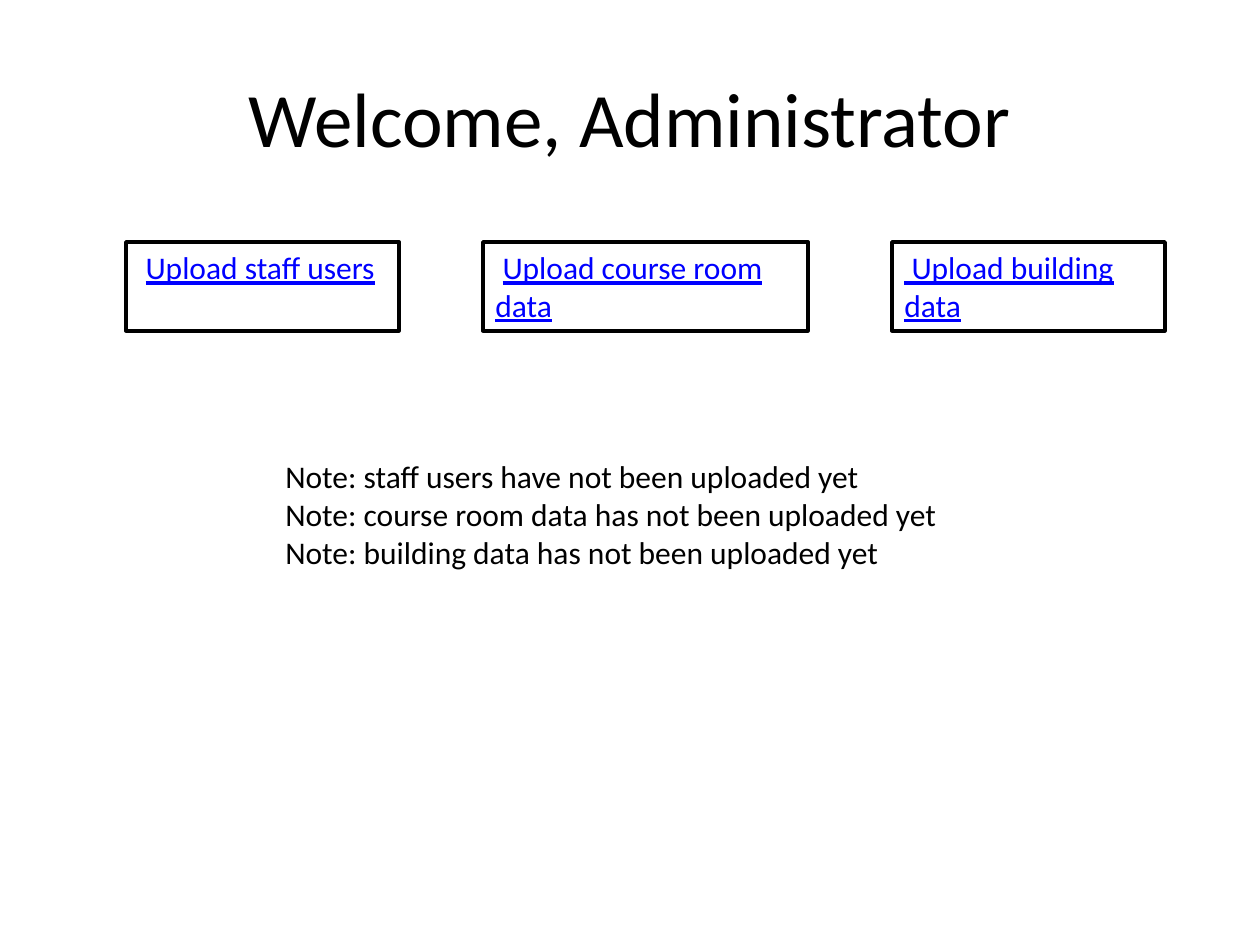
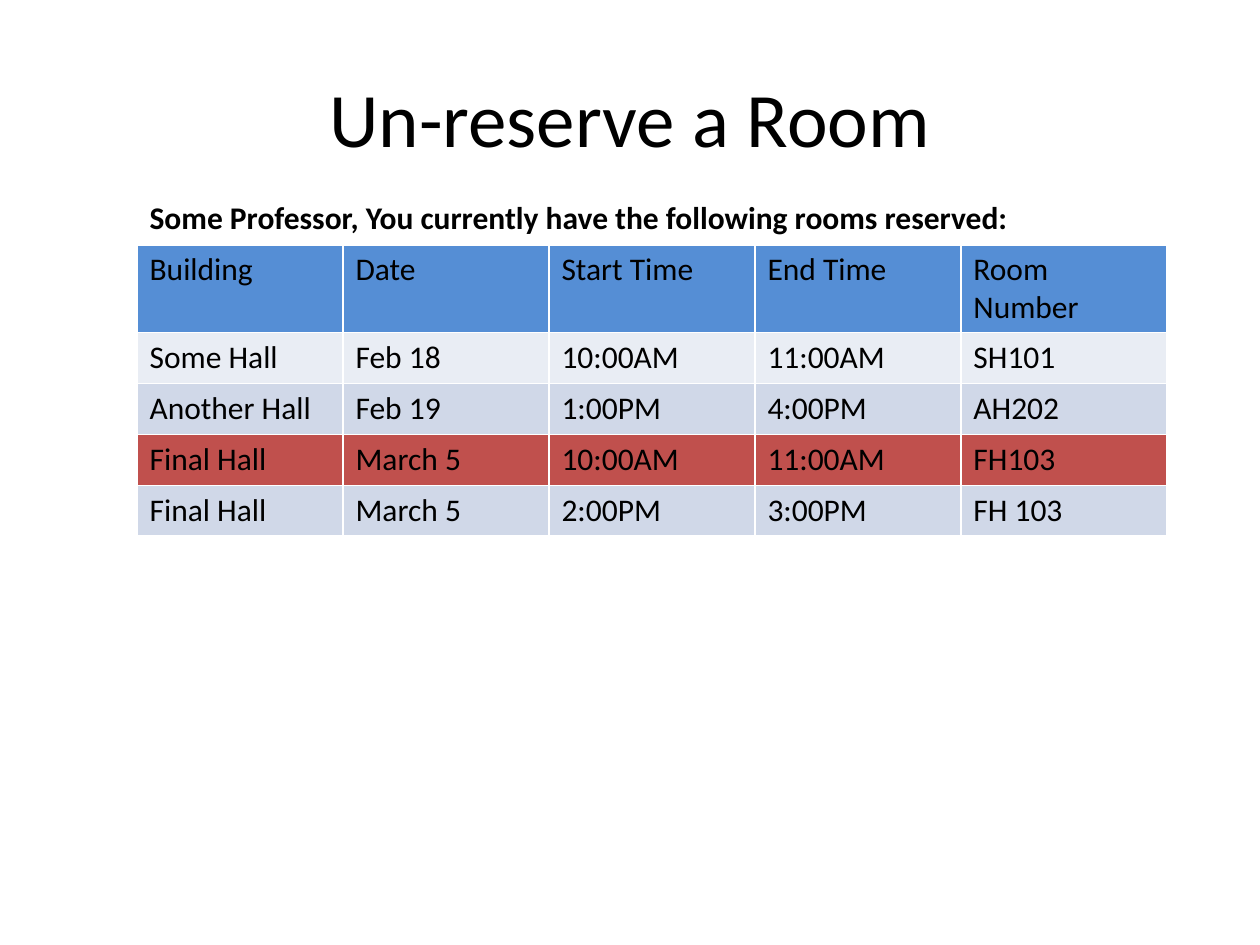
from dataclasses import dataclass

from lxml import etree
from pptx import Presentation
from pptx import util as u
from pptx.dml.color import RGBColor
from pptx.enum import shapes, text
from pptx.oxml import ns

# Content
WELCOME_TITLE = "Welcome, Administrator"
# Each button: width in pixels, then its (text, is_link) pieces
BUTTONS = [
    (273, [(" ", False), ("Upload staff users", True)]),
    (325, [(" ", False), ("Upload course room data", True)]),
    (273, [(" Upload building data", True)]),
]
NOTES = [
    "Note: staff users have not been uploaded yet",
    "Note: course room data has not been uploaded yet",
    "Note: building data has not been uploaded yet",
]

ROOMS_TITLE = "Un-reserve a Room"
ROOMS_CAPTION = "Some Professor, You currently have the following rooms reserved:"
ROOMS_HEADER = ["Building", "Date", "Start Time", "End Time", "Room Number"]
RESERVATIONS = [
    ["Some Hall", "Feb 18", "10:00AM", "11:00AM", "SH101"],
    ["Another Hall", "Feb 19", "1:00PM", "4:00PM", "AH202"],
    ["Final Hall", "March 5", "10:00AM", "11:00AM", "FH103"],
    ["Final Hall", "March 5", "2:00PM", "3:00PM", "FH 103"],
]
SELECTED = 2  # reservation shown in red


@dataclass(frozen=True)
class Theme:
    """Colours and type sizes shared by the slides."""
    font: str = "Calibri"
    title_size: int = 44
    body_size: int = 18
    ink: str = "000000"
    paper: str = "FFFFFF"
    link: str = "0000FF"
    header: str = "558ED5"
    bands: tuple = ("E9EDF4", "D0D8E8")
    selected: str = "C0504D"


THEME = Theme()
PIXEL = u.Inches(1) / 126


def px(length):
    """Turn pixels into EMU."""
    return u.Emu(round(length * PIXEL))


def box(left, top, width, height):
    """Turn a pixel rectangle into EMU."""
    return [px(length) for length in (left, top, width, height)]


def style_run(run, size=THEME.body_size, color=THEME.ink, bold=False):
    """Give a run its font, size, colour and weight."""
    run.font.name = THEME.font
    run.font.size = u.Pt(size)
    run.font.bold = bold
    run.font.color.rgb = RGBColor.from_string(color)


def add_text(slide, rectangle, wording, size=THEME.body_size):
    """Add a wrapping text box and return its text frame."""
    frame = slide.shapes.add_textbox(*box(*rectangle)).text_frame
    frame.word_wrap = True
    frame.text = wording
    for paragraph in frame.paragraphs:
        for run in paragraph.runs:
            style_run(run, size)
    return frame


def add_titled_slide(presentation, title):
    """Add a blank slide with the shared centred title."""
    slide = presentation.slides.add_slide(presentation.slide_layouts[6])
    frame = add_text(slide, (63, 38, 1134, 157), title, THEME.title_size)
    frame.vertical_anchor = text.MSO_ANCHOR.MIDDLE
    frame.paragraphs[0].alignment = text.PP_ALIGN.CENTER
    return slide


def add_button(slide, rectangle, pieces):
    """Add an outlined box that holds link text."""
    shape = slide.shapes.add_shape(shapes.MSO_SHAPE.RECTANGLE, *box(*rectangle))
    shape.shadow.inherit = False
    shape.fill.solid()
    shape.fill.fore_color.rgb = RGBColor.from_string(THEME.paper)
    shape.line.color.rgb = RGBColor.from_string(THEME.ink)
    shape.line.width = u.Pt(2)
    frame = shape.text_frame
    frame.word_wrap = True
    frame.vertical_anchor = text.MSO_ANCHOR.TOP
    paragraph = frame.paragraphs[0]
    paragraph.alignment = text.PP_ALIGN.LEFT
    for wording, is_link in pieces:
        run = paragraph.add_run()
        run.text = wording
        style_run(run, color=THEME.link if is_link else THEME.ink)
        run.font.underline = is_link


def add_borders(cell, bottom=1):
    """Draw the white lines around a table cell."""
    properties = cell._tc.get_or_add_tcPr()
    for side, width in (("L", 1), ("R", 1), ("T", 1), ("B", bottom)):
        line = etree.SubElement(properties, ns.qn("a:ln" + side), w=str(u.Pt(width)))
        fill = etree.SubElement(line, ns.qn("a:solidFill"))
        etree.SubElement(fill, ns.qn("a:srgbClr"), val=THEME.paper)


def fill_cell(cell, wording, color=None, bold=False, bottom=1):
    """Write and style one table cell."""
    cell.text = wording
    for run in cell.text_frame.paragraphs[0].runs:
        style_run(run, bold=bold)
    add_borders(cell, bottom)
    if color:
        cell.fill.solid()
        cell.fill.fore_color.rgb = RGBColor.from_string(color)
    else:
        cell.fill.background()


def add_rooms_table(slide, left, top, column_width, row_height):
    """Add the reservations under a caption that spans all columns."""
    rows = [ROOMS_HEADER] + RESERVATIONS
    columns = len(ROOMS_HEADER)
    size = (columns * column_width, (len(rows) + 1) * row_height)
    table = slide.shapes.add_table(len(rows) + 1, columns, *box(left, top, *size)).table
    table.first_row = table.horz_banding = False

    for column in range(columns):
        fill_cell(table.cell(0, column), "" if column else ROOMS_CAPTION,
                  bold=True, bottom=3)
    table.cell(0, 0).merge(table.cell(0, columns - 1))

    colors = [THEME.header] + [THEME.bands[i % 2] for i in range(len(RESERVATIONS))]
    colors[SELECTED + 1] = THEME.selected
    for row, (values, color) in enumerate(zip(rows, colors), start=1):
        for column, value in enumerate(values):
            fill_cell(table.cell(row, column), value, color)


def build_welcome(presentation):
    """Build the administrator's start page."""
    slide = add_titled_slide(presentation, WELCOME_TITLE)
    left, gap = 126, 84
    for width, pieces in BUTTONS:
        add_button(slide, (left, 242, width, 89), pieces)
        left += width + gap
    add_text(slide, (273, 451, 693, 127), "\n".join(NOTES))


def build_rooms(presentation):
    """Build the page that lists reserved rooms."""
    slide = add_titled_slide(presentation, ROOMS_TITLE)
    add_rooms_table(slide, left=137, top=193, column_width=206, row_height=51)


def main():
    """Build and save the presentation."""
    presentation = Presentation()
    presentation.slide_width, presentation.slide_height = px(1260), px(945)
    build_welcome(presentation)
    build_rooms(presentation)
    presentation.save("out.pptx")


main()
